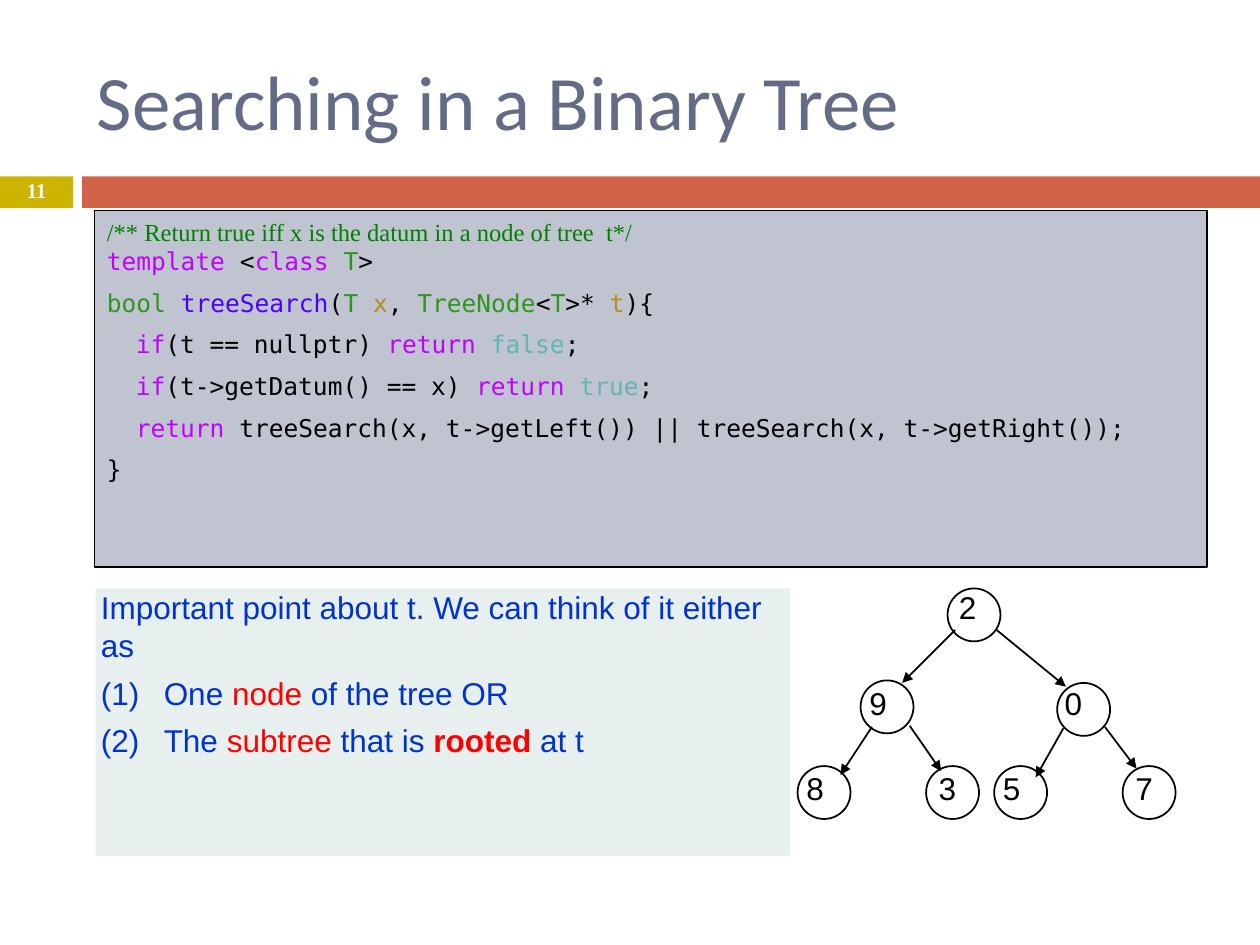
"""Build the slide on searching in a binary tree."""
import pptx
import pptx.dml.color
import pptx.enum.shapes
import pptx.enum.text
import pptx.oxml.ns
import pptx.util
from lxml import etree

Inches = pptx.util.Inches
Pt = pptx.util.Pt
SHAPES = pptx.enum.shapes.MSO_SHAPE
ANCHOR = pptx.enum.text.MSO_ANCHOR
ALIGN = pptx.enum.text.PP_ALIGN

COLOURS = {
    "title": "646B86", "number": "CCB400", "band": "D16349",
    "white": "FFFFFF", "black": "000000",
    "code_box": "C0C3D0", "note_box": "E8EFEF",
    "comment": "008000", "keyword": "C200FF", "type": "2D961E",
    "function": "4A00FF", "parameter": "BA8C1C", "literal": "61B6B4",
    "note": "0033CC", "stress": "FF0000",
}
MONO = "DejaVu Sans Mono"
CODE_INDENT = 0.23
CODE = [
    (0, [("template", "keyword"), (" <", "black"), ("class ", "keyword"),
         ("T", "type"), (">", "black")]),
    (0, [("bool ", "type"), ("treeSearch", "function"), ("(", "black"),
         ("T ", "type"), ("x", "parameter"), (", ", "black"),
         ("TreeNode", "type"), ("<", "black"), ("T", "type"),
         (">* ", "black"), ("t", "parameter"), ("){", "black")]),
    (1, [("if", "keyword"), ("(t == nullptr) ", "black"),
         ("return ", "keyword"), ("false", "literal"), (";", "black")]),
    (1, [("if", "keyword"), ("(t->getDatum() == x) ", "black"),
         ("return ", "keyword"), ("true", "literal"), (";", "black")]),
    (1, [("return", "keyword"),
         (" treeSearch(x, t->getLeft()) || treeSearch(x, t->getRight());", "black")]),
    (0, [("}", "black")]),
]
NOTE_INTRO = [("Important point about t. We can think of it either as", "note")]
NOTE_POINTS = [
    [("One ", "note"), ("node", "stress"), (" of the tree OR", "note")],
    [("The ", "note"), ("subtree ", "stress"), ("that is ", "note"),
     ("rooted", "stress", True), (" at t", "note")],
]
NODE_SIZE = 0.42
NODES = [
    ("2", 7.52, 4.67, 0.05, 0),
    ("9", 6.83, 5.40, 0.03, 0.03), ("0", 8.39, 5.42, 0.02, 0.01),
    ("8", 6.33, 6.08, 0.03, 0.02), ("3", 7.35, 6.08, 0.06, 0.02),
    ("5", 7.89, 6.08, 0.03, 0.02), ("7", 8.91, 6.08, 0.06, 0.02),
]
EDGES = [
    (7.58, 5.00, 7.16, 5.42), (7.91, 5.00, 8.46, 5.45),
    (6.92, 5.77, 6.67, 6.15), (7.22, 5.76, 7.47, 6.12),
    (8.44, 5.78, 8.22, 6.17), (8.77, 5.77, 9.02, 6.10),
]


def colour(name):
    """Return the named colour."""
    return pptx.dml.color.RGBColor.from_string(COLOURS[name])


def set_frame(frame, insets, anchor=ANCHOR.TOP, wrap=True):
    """Set insets, anchor and wrapping of a text frame."""
    frame.margin_left, frame.margin_top, frame.margin_right, frame.margin_bottom = map(Inches, insets)
    frame.vertical_anchor = anchor
    frame.word_wrap = wrap


def add_panel(slide, geometry, box, fill=None, line=None, width=1):
    """Add a preset shape with an optional fill and outline."""
    panel = slide.shapes.add_shape(geometry, *map(Inches, box))
    panel.shadow.inherit = False
    if fill:
        panel.fill.solid()
        panel.fill.fore_color.rgb = colour(fill)
    else:
        panel.fill.background()
    if line:
        panel.line.color.rgb = colour(line)
        panel.line.width = Pt(width)
    else:
        panel.line.fill.background()
    return panel


def write(paragraph, runs, font, size, before=0, left=0, hanging=0):
    """Write coloured runs into a paragraph."""
    paragraph.alignment = ALIGN.LEFT
    paragraph.space_before = Pt(before)
    paragraph.font.name = font
    paragraph.font.size = Pt(size)
    properties = paragraph._p.get_or_add_pPr()
    properties.set("marL", str(Inches(left)))
    properties.set("indent", str(Inches(-hanging)))
    for text, shade, *bold in runs:
        run = paragraph.add_run()
        run.text = text
        run.font.color.rgb = colour(shade)
        if bold:
            run.font.bold = True


def add_label(slide, box, text, font, size, shade, insets, anchor=ANCHOR.TOP, wrap=True, left=0):
    """Add a one-paragraph text box and return its paragraph."""
    frame = slide.shapes.add_textbox(*map(Inches, box)).text_frame
    set_frame(frame, insets, anchor, wrap)
    paragraph = frame.paragraphs[0]
    write(paragraph, [(text, shade)], font, size, left=left)
    return paragraph


def number_paragraph(paragraph):
    """Number a paragraph in the style (1)."""
    numbering = etree.SubElement(paragraph._p.get_or_add_pPr(), pptx.oxml.ns.qn("a:buAutoNum"))
    numbering.set("type", "arabicParenBoth")


def add_heading(slide):
    """Add the band, slide number and title."""
    add_panel(slide, SHAPES.RECTANGLE, (0, 1.4, 0.58, 0.25), "number")
    add_panel(slide, SHAPES.RECTANGLE, (0.65, 1.4, 9.35, 0.25), "band")
    add_label(slide, (0.67, 0.25, 8.92, 1.08), "Searching in a Binary Tree", "Calibri", 44,
              "title", (0.1, 0.05, 0.14, 0.05), ANCHOR.MIDDLE)
    number = add_label(slide, (0, 1.39, 0.58, 0.27), "11", "Times New Roman", 12,
                       "white", (0.1, 0.05, 0.1, 0.05), ANCHOR.MIDDLE)
    number.alignment = ALIGN.CENTER
    number.line_spacing = 0.8
    number.font.bold = True


def add_code(slide):
    """Add the code listing."""
    frame = add_panel(slide, SHAPES.RECTANGLE, (0.75, 1.67, 8.83, 2.83),
                      "code_box", "black", 0.75).text_frame
    set_frame(frame, (0.1, 0.05, 0.1, 0.05))
    write(frame.paragraphs[0], [("/** Return true iff x is the datum in a node of tree  t*/", "comment")],
          "Times New Roman", 14, before=7)
    for index, (level, runs) in enumerate(CODE):
        write(frame.add_paragraph(), runs, MONO, 14, before=7 if index else 0,
              left=level * CODE_INDENT)


def add_note(slide):
    """Add the note on the two readings of t."""
    frame = add_panel(slide, SHAPES.RECTANGLE, (0.76, 4.67, 5.51, 2.12), "note_box").text_frame
    set_frame(frame, (0, 0, 0.04, 0))
    write(frame.paragraphs[0], NOTE_INTRO, "Arial", 18, before=5.5, left=0.04)
    for runs in NOTE_POINTS:
        point = frame.add_paragraph()
        write(point, runs, "Arial", 18, before=5.5, left=0.54, hanging=0.5)
        number_paragraph(point)


def add_node(slide, digit, x, y, dx, dy):
    """Add a tree node and its digit."""
    add_panel(slide, SHAPES.OVAL, (x, y, NODE_SIZE, NODE_SIZE), line="black")
    add_label(slide, (x + dx, y + dy, 0.31, 0.39), digit, "Arial", 18, "black",
              (0, 0, 0.04, 0), wrap=False, left=0.04)


def add_edge(slide, ends):
    """Add an arrow from a parent to a child."""
    edge = slide.shapes.add_connector(pptx.enum.shapes.MSO_CONNECTOR.STRAIGHT, *map(Inches, ends))
    edge.line.color.rgb = colour("black")
    edge.line.width = Pt(1)
    qn = pptx.oxml.ns.qn
    etree.SubElement(edge.line._get_or_add_ln(), qn("a:tailEnd")).set("type", "triangle")
    etree.SubElement(edge._element.spPr, qn("a:effectLst"))


def main():
    """Build and save the presentation."""
    presentation = pptx.Presentation()
    presentation.slide_width = Inches(10)
    presentation.slide_height = Inches(7.5)
    slide = presentation.slides.add_slide(presentation.slide_layouts[6])
    add_heading(slide)
    for node in NODES:
        add_node(slide, *node)
    for ends in EDGES:
        add_edge(slide, ends)
    add_note(slide)
    add_code(slide)
    presentation.save("out.pptx")


if __name__ == "__main__":
    main()
